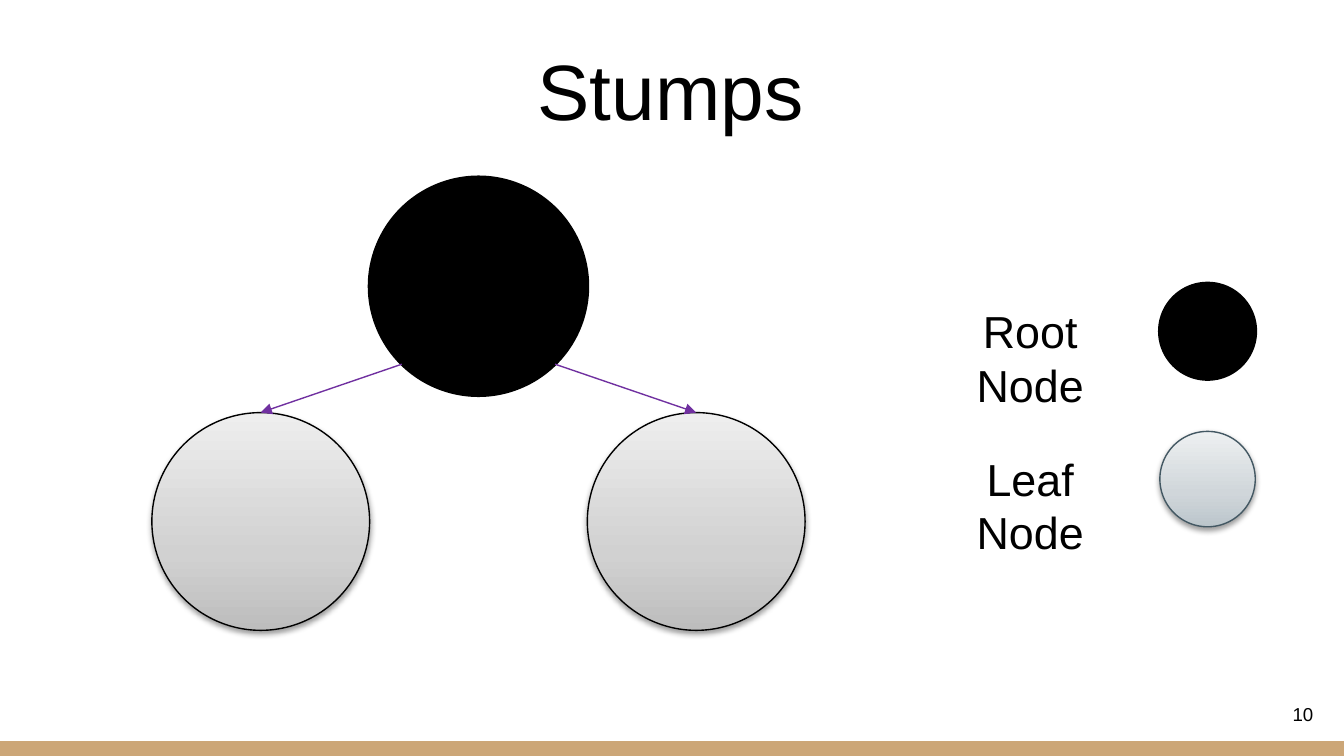
from lxml import etree
from pptx import Presentation
from pptx.dml.color import RGBColor as RGB
from pptx.enum.shapes import MSO_CONNECTOR as LINK, MSO_SHAPE as SHAPE
from pptx.enum.text import MSO_ANCHOR as ANCHOR, PP_ALIGN as ALIGN
from pptx.oxml import parse_xml
from pptx.oxml.ns import nsdecls, qn
from pptx.util import Inches, Pt

COLORS = {"ink": "000000", "bar": "CCA677", "arrow": "7030A0", "rim": "435863"}
GRAY = ("BDBDBD", "D1D1D1", "EEEEEE")
STEEL = ("BBC5CB", "D0D6DA", "EDF0F1")
STOPS = (0, 35, 100)
WIDE = 10
HIGH = WIDE * 9 / 16
NODE, KEY = 1.62, 0.71


def color(name):
    return RGB.from_string(COLORS[name])


def write(box, text, size, align=ALIGN.CENTER, anchor=ANCHOR.TOP, inset=0.05):
    frame = box.text_frame
    margins = {"margin_left": 0.1, "margin_right": 0.1,
               "margin_top": inset, "margin_bottom": inset}
    for name, value in margins.items():
        setattr(frame, name, Inches(value))
    frame.word_wrap = True
    frame.vertical_anchor = anchor
    para = frame.paragraphs[0]
    para.text = text
    para.alignment = align
    for name, value in {"name": "Arial", "size": Pt(size), "bold": False}.items():
        setattr(para.font, name, value)
    para.font.color.rgb = color("ink")


def place(shape, *area):
    for name, value in zip(("left", "top", "width", "height"), area):
        setattr(shape, name, Inches(value))


def add_text(slide, area, text, size, **style):
    box = slide.shapes.add_textbox(*map(Inches, area))
    write(box, text, size, **style)


def add_root(slide, left, top, size):
    disc = slide.shapes.add_shape(SHAPE.OVAL, *map(Inches, (left, top, size, size)))
    disc.shadow.inherit = False
    disc.fill.solid()
    disc.fill.fore_color.rgb = color("ink")
    disc.line.color.rgb = color("ink")
    disc.line.width = Pt(2)


def add_leaf(slide, left, top, size, tones, rim):
    """Add a disc shaded from dark at the bottom to light, with a soft shadow."""
    disc = slide.shapes.add_shape(SHAPE.OVAL, *map(Inches, (left, top, size, size)))
    disc.line.color.rgb = color(rim)
    disc.line.width = Pt(0.75)
    stops = "".join(f'<a:gs pos="{pos * 1000}"><a:srgbClr val="{tone}"/></a:gs>'
                    for pos, tone in zip(STOPS, tones))
    props = disc._element.spPr
    props.find(qn("a:prstGeom")).addnext(parse_xml(
        f'<a:gradFill {nsdecls("a")} rotWithShape="1"><a:gsLst>{stops}</a:gsLst>'
        '<a:lin ang="16200000" scaled="0"/></a:gradFill>'))
    props.append(parse_xml(
        f'<a:effectLst {nsdecls("a")}><a:outerShdw blurRad="{Pt(3.1)}" '
        f'dist="{Pt(1.6)}" dir="5400000" rotWithShape="0"><a:srgbClr val="000000">'
        '<a:alpha val="38000"/></a:srgbClr></a:outerShdw></a:effectLst>'))


def add_arrow(slide, start, end):
    arrow = slide.shapes.add_connector(LINK.STRAIGHT, *map(Inches, start + end))
    arrow.line.color.rgb = color("arrow")
    arrow.line.width = Pt(0.75)
    etree.SubElement(arrow.line._get_or_add_ln(), qn("a:tailEnd"), type="triangle")
    etree.SubElement(arrow._element.spPr, qn("a:effectLst"))


def add_bar(slide):
    deep = 0.11
    area = (0, HIGH - deep, WIDE, deep)
    bar = slide.shapes.add_shape(SHAPE.RECTANGLE, *map(Inches, area))
    bar.shadow.inherit = False
    bar.fill.solid()
    bar.fill.fore_color.rgb = color("bar")
    bar.line.fill.background()


def add_tree(slide):
    mid, top, low = 3.56, 1.32, 3.07
    add_root(slide, mid - NODE / 2, top, NODE)
    for side in (-1, 1):
        leaf = mid + side * NODE
        add_leaf(slide, leaf - NODE / 2, low, NODE, GRAY, "ink")
        add_arrow(slide, (mid + side * 0.57, 2.71), (leaf, low))


def add_legend(slide):
    left, top, step = 8.63, 2.11, 1.1
    add_root(slide, left, top, KEY)
    add_leaf(slide, left, top + step, KEY, STEEL, "rim")
    for row, text in enumerate(("Root Node", "Leaf Node")):
        add_text(slide, (6.91, top + 0.1 + row * step, 1.51, 0.5), text, 24)


def main():
    deck = Presentation()
    deck.slide_width, deck.slide_height = Inches(WIDE), Inches(HIGH)
    slide = deck.slides.add_slide(deck.slide_layouts[5])
    add_bar(slide)
    title = slide.shapes.title
    place(title, 2.49, 0.26, 5, 0.81)
    write(title, "Stumps", 42)
    add_tree(slide)
    add_legend(slide)
    add_text(slide, (9.27, 5.1, 0.6, 0.43), "10", 10,
             align=ALIGN.RIGHT, anchor=ANCHOR.MIDDLE, inset=0.1)
    deck.save("out.pptx")


if __name__ == "__main__":
    main()
